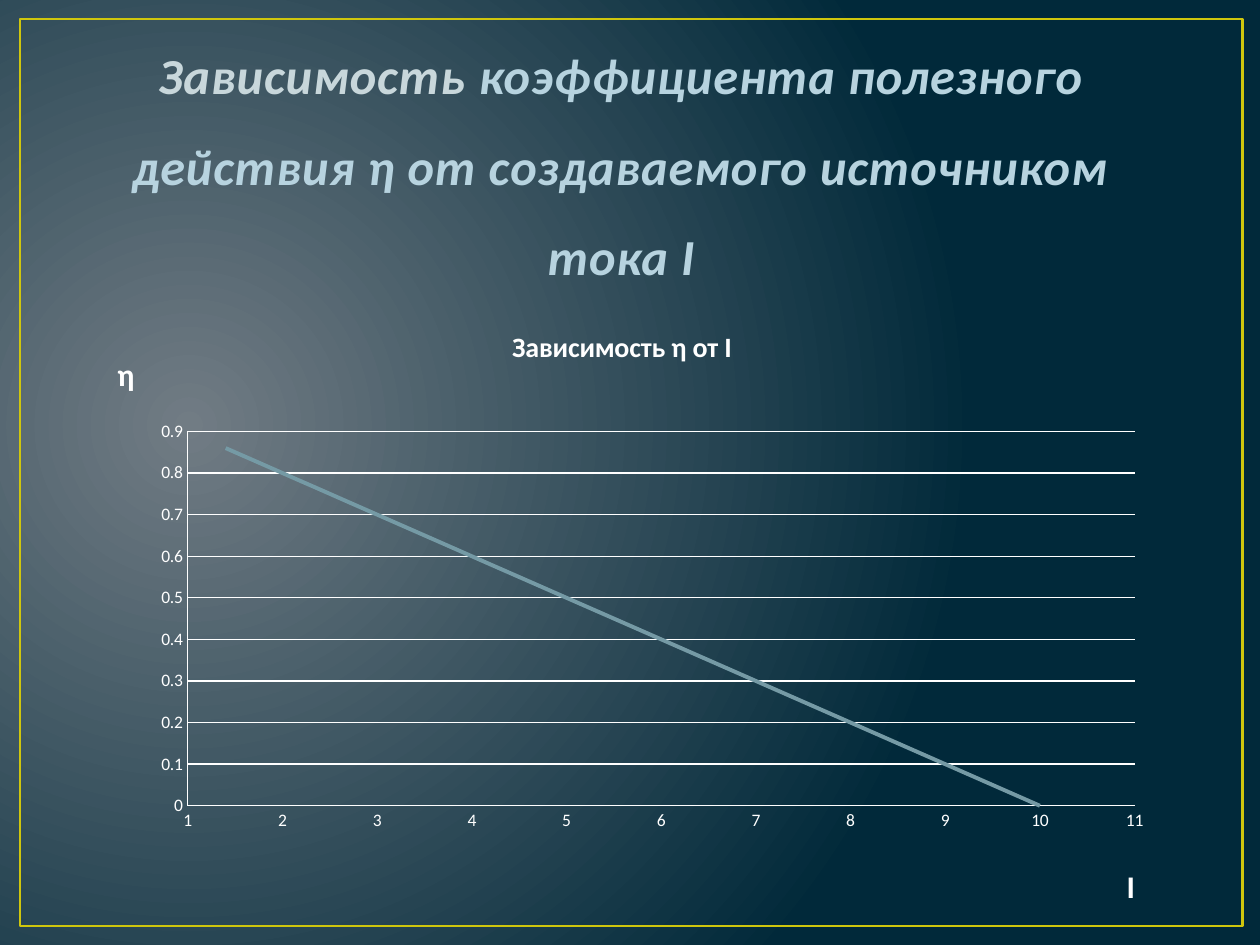
"""Build a slide showing how efficiency falls with the source current."""
from lxml import etree
from pptx import Presentation
from pptx import util as u
from pptx.chart import data as chart_data
from pptx.dml import color
from pptx.enum import chart as chart_enum
from pptx.enum import shapes, text
from pptx.oxml import parse_xml
from pptx.oxml import ns

FONT = "Calibri"
COLORS = {
    "glow": "717C84",
    "night": "01293A",
    "frame": "CFC60D",
    "title_start": "C8D7DB",
    "title_rest": "B7D3DF",
    "title_outline": "384F55",
    "chart_text": "FFFFFF",
    "curve": "759AA5",
}


def rgb(name):
    return color.RGBColor.from_string(COLORS[name])


def place(shape, box):
    shape.left, shape.top, shape.width, shape.height = map(u.Pt, box)


def paint_background(page):
    page.background.fill.gradient()
    fill = page.background._cSld.find(".//" + ns.qn("a:gradFill"))
    stops = "".join(
        f'<a:gs pos="{position}"><a:srgbClr val="{COLORS[name]}"/></a:gs>'
        for position, name in ((0, "glow"), (100000, "night"))
    )
    radial = parse_xml(
        f'<a:gradFill {ns.nsdecls("a")} rotWithShape="1"><a:gsLst>{stops}</a:gsLst>'
        '<a:path path="circle"><a:fillToRect l="15000" t="50000" r="85000" b="60000"/>'
        "</a:path></a:gradFill>"
    )
    fill.getparent().replace(fill, radial)


def add_frame(page, box):
    frame = page.shapes.add_shape(shapes.MSO_SHAPE.RECTANGLE, *map(u.Pt, box))
    frame.shadow.inherit = False
    frame.fill.background()
    frame.line.color.rgb = rgb("frame")
    frame.line.width = u.Pt(1.5)
    page.shapes._spTree.insert(2, frame._element)


def add_title(page, box, runs):
    title = page.shapes.title
    place(title, box)
    frame = title.text_frame
    frame.word_wrap = True
    frame.auto_size = text.MSO_AUTO_SIZE.NONE
    frame.vertical_anchor = text.MSO_ANCHOR.BOTTOM
    para = frame.paragraphs[0]
    para.alignment = text.PP_ALIGN.CENTER
    para.line_spacing = 1.5
    for words, color_name in runs:
        span = para.add_run()
        span.text = words
        font = span.font
        font.name, font.size = FONT, u.Pt(28.8)
        font.bold = font.italic = True
        font.color.rgb = rgb(color_name)
        properties = span._r.get_or_add_rPr()
        properties.set("spc", "50")
        properties.insert(0, parse_xml(
            f'<a:ln {ns.nsdecls("a")} w="{int(u.Pt(1.05))}"><a:solidFill>'
            f'<a:srgbClr val="{COLORS["title_outline"]}"/></a:solidFill></a:ln>'
        ))


def set_layout(parent, index, inner=False, **fractions):
    for old in parent.findall(ns.qn("c:layout")):
        parent.remove(old)
    layout = etree.Element(ns.qn("c:layout"))
    manual = etree.SubElement(layout, ns.qn("c:manualLayout"))
    settings = {"layoutTarget": "inner"} if inner else {}
    settings.update(xMode="edge", yMode="edge", **fractions)
    for tag, value in settings.items():
        etree.SubElement(manual, ns.qn("c:" + tag)).set("val", str(value))
    parent.insert(index, layout)


def write_heading(heading, words, size):
    span = heading.text_frame.paragraphs[0].add_run()
    span.text = words
    font = span.font
    font.name, font.size, font.bold = FONT, u.Pt(size), True
    font.color.rgb = rgb("chart_text")


def style_axis(axis, name, low, high, step, x, y):
    axis.minimum_scale, axis.maximum_scale, axis.major_unit = low, high, step
    axis.major_tick_mark = axis.minor_tick_mark = chart_enum.XL_TICK_MARK.NONE
    axis.format.line.color.rgb = rgb("chart_text")
    axis.format.line.width = u.Pt(0.75)
    axis.tick_labels.number_format = "General"
    axis.tick_labels.number_format_is_linked = False
    write_heading(axis.axis_title, name, 18)
    axis.axis_title.text_frame._txBody.bodyPr.set("rot", "0")
    axis.axis_title.text_frame._txBody.bodyPr.set("vert", "horz")
    set_layout(axis.axis_title._element, 1, x=x, y=y)


def add_efficiency_chart(page, box):
    data = chart_data.XyChartData()
    points = data.add_series("η")
    for step in range(31):
        current = 10 / (1 + step / 5)
        points.add_data_point(round(current, 1), round(1 - current / 10, 2))
    chart = page.shapes.add_chart(
        chart_enum.XL_CHART_TYPE.XY_SCATTER_SMOOTH_NO_MARKERS, *map(u.Pt, box), data
    ).chart
    chart.has_legend = False
    chart.font.name, chart.font.size = FONT, u.Pt(10)
    chart.font.color.rgb = rgb("chart_text")
    chart.has_title = True
    write_heading(chart.chart_title, "Зависимость η от I", 16)
    chart.chart_title.include_in_layout = False

    style_axis(chart.category_axis, "I", 1, 11, 1, x=0.94, y=0.89)
    style_axis(chart.value_axis, "η", 0, 0.9, 0.1, x=0.05, y=0.07)
    chart.category_axis.has_major_gridlines = False
    chart.value_axis.has_major_gridlines = True
    grid = chart.value_axis.major_gridlines.format.line
    grid.color.rgb = rgb("chart_text")
    grid.width = u.Pt(0.75)

    plot = chart.plots[0]
    plot.vary_by_categories = False
    curve = plot.series[0]
    curve.smooth = True
    curve.marker.style = chart_enum.XL_MARKER_STYLE.NONE
    curve.format.line.color.rgb = rgb("curve")
    curve.format.line.width = u.Pt(2.25)
    plot_area = chart._chartSpace.find(".//" + ns.qn("c:plotArea"))
    set_layout(plot_area, 0, inner=True, x=0.117, y=0.205, w=0.835, h=0.6)


def main():
    deck = Presentation()
    deck.slide_width, deck.slide_height = u.Pt(720), u.Pt(540)
    page = deck.slides.add_slide(deck.slide_layouts[5])
    paint_background(page)
    add_frame(page, (11.5, 10.8, 698.4, 518.4))
    add_title(page, (31, 15, 648, 152), (
        ("Зависимость ", "title_start"),
        ("коэффициента полезного действия η от создаваемого источником тока I",
         "title_rest"),
    ))
    add_efficiency_chart(page, (31.5, 173.5, 648, 356.5))
    deck.save("out.pptx")


main()
